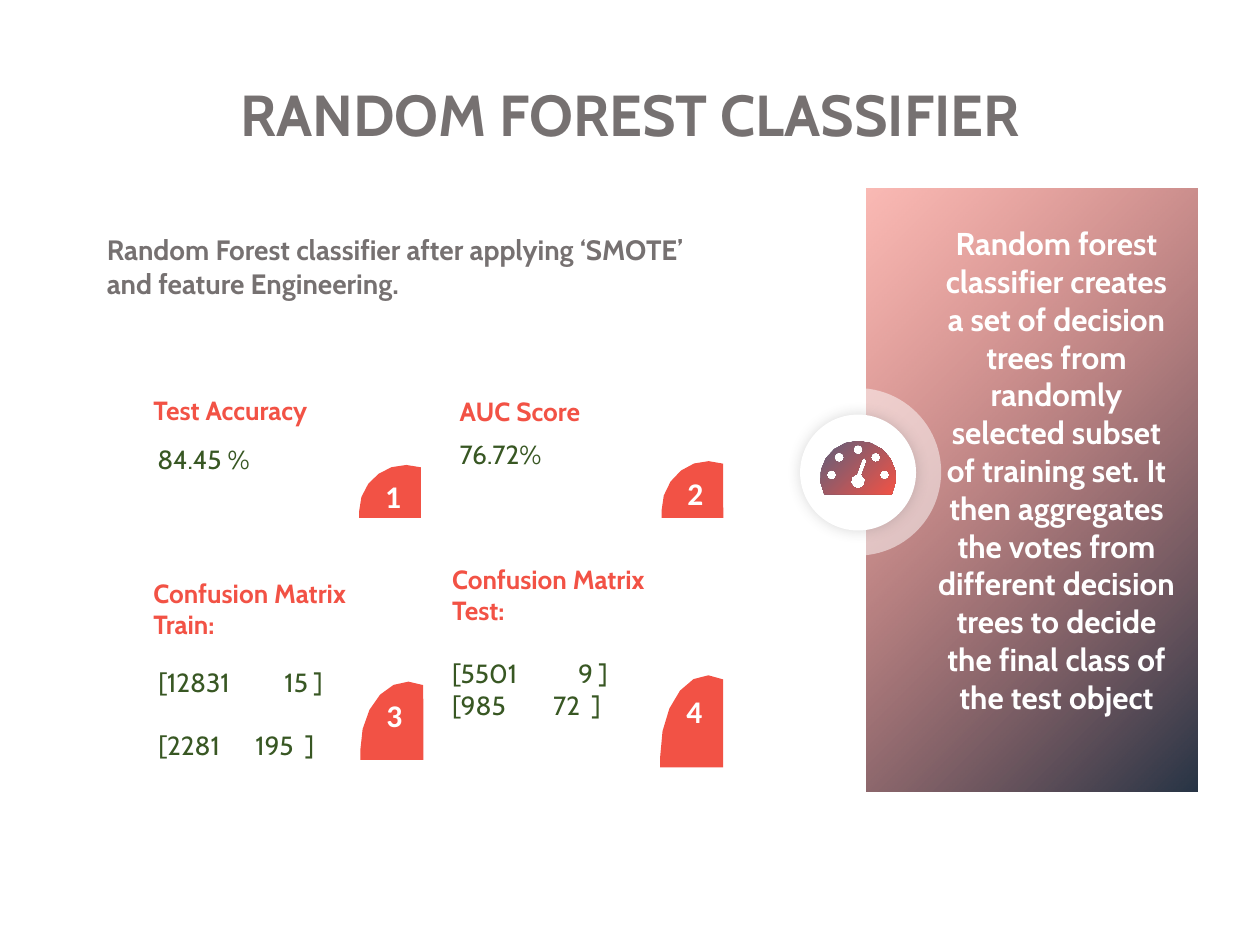
from dataclasses import dataclass
from math import cos, radians, sin

from lxml import etree
from pptx import Presentation, util as u
from pptx.dml.color import RGBColor
from pptx.enum import shapes, text
from pptx.oxml.ns import qn

RED = RGBColor(0xF2, 0x52, 0x45)
NAVY = RGBColor(0x27, 0x34, 0x45)
PLUM = RGBColor(0x69, 0x5E, 0x78)
GREEN = RGBColor(0x38, 0x57, 0x23)
GREY = RGBColor(0x76, 0x71, 0x71)
WHITE = RGBColor(0xFF, 0xFF, 0xFF)
RECT = shapes.MSO_SHAPE.RECTANGLE
OVAL = shapes.MSO_SHAPE.OVAL
CENTER = text.PP_ALIGN.CENTER

Point = tuple[float, float]
Box = tuple[float, float, float, float]


@dataclass
class Line:
    words: str
    color: RGBColor
    bold: bool = False
    gap: float = 0  # points above the line
    size: float = 15
    font: str = "Cabin"


@dataclass
class Note:
    box: Box
    lines: list[Line]


@dataclass
class Card:
    mark: str
    box: Box
    badge: Box
    notes: list[Note]


def head(words: str) -> Line:
    return Line(words, RED, True)


def value(words: str, gap: float = 0) -> Line:
    return Line(words, GREEN, gap=gap)


CARDS = [
    Card("3", (1.11, 4.62, 2.25, 1.41), (2.86, 5.41, 0.5, 0.62), [
        Note((1.16, 5.24, 2.16, 0.86),
             [value("[12831\t15 ]"), value("[2281      195  ]", 18)]),
        Note((1.12, 4.53, 2.16, 0.61), [head("Confusion Matrix Train:")])]),
    Card("1", (1.09, 3.15, 2.25, 0.96), (2.85, 3.69, 0.49, 0.42), [
        Note((1.15, 3.47, 2.16, 0.35), [value("84.45 %")]),
        Note((1.12, 3.08, 2.16, 0.35), [head("Test Accuracy")])]),
    Card("4", (3.46, 4.44, 2.29, 1.65), (5.24, 5.36, 0.5, 0.73), [
        Note((3.49, 4.42, 2.19, 2.5),
             [head("Confusion Matrix"), head("Test:"),
              value("[5501\t9 ]", 18), value("[985        72  ]")])]),
    Card("2", (3.49, 3.08, 2.25, 1.03), (5.25, 3.66, 0.49, 0.45), [
        Note((3.55, 3.43, 2.16, 0.35), [value("76.72%")]),
        Note((3.55, 3.09, 2.16, 0.35), [head("AUC Score")])]),
]


def paint(shape, color: RGBColor) -> None:
    shape.shadow.inherit = False
    shape.line.fill.background()
    shape.fill.solid()
    shape.fill.fore_color.rgb = color


def blend(shape, first: RGBColor, last: RGBColor, start: float = 0) -> None:
    """Fill from the top left corner to the bottom right one."""
    shape.fill.gradient()
    shape.fill.gradient_angle = 315
    for stop, color, place in zip(shape.fill.gradient_stops, (first, last), (start, 1)):
        stop.color.rgb = color
        stop.position = place


def fade(shape, share: int) -> None:
    """Set the opacity, in percent, of the first fill colour."""
    color = next(shape._element.spPr.iter(qn("a:srgbClr")))
    etree.SubElement(color, qn("a:alpha"), val=str(share * 1000))


def glow(shape) -> None:
    effects = shape._element.spPr.find(qn("a:effectLst"))
    blur = etree.SubElement(effects, qn("a:outerShdw"), blurRad=str(u.Pt(8)), dist="0", dir="0")
    color = etree.SubElement(blur, qn("a:srgbClr"), val="404040")
    etree.SubElement(color, qn("a:alpha"), val="20000")


def block(parent, kind, box: Box, color: RGBColor):
    shape = parent.add_shape(kind, *map(u.Inches, box))
    paint(shape, color)
    return shape


def write(parent, box: Box, lines: list[Line], align=None) -> None:
    frame = parent.add_textbox(*map(u.Inches, box)).text_frame
    frame.word_wrap = True
    for i, line in enumerate(lines):
        para = frame.add_paragraph() if i else frame.paragraphs[0]
        para.alignment = align
        para.space_before = u.Pt(line.gap)
        run = para.add_run()
        run.text = line.words
        run.font.name = line.font
        run.font.size = u.Pt(line.size)
        run.font.bold = line.bold
        run.font.color.rgb = line.color


def arc(x: float, y: float, rx: float, ry: float,
        start: float, end: float, steps: int) -> list[Point]:
    """Points round an ellipse, clockwise from the right, in degrees."""
    turns = [radians(start + (end - start) * i / steps) for i in range(steps + 1)]
    return [(x + rx * cos(t), y + ry * sin(t)) for t in turns]


def trace(parent, loops: list[list[Point]], color: RGBColor):
    loops = [[(u.Inches(x), u.Inches(y)) for x, y in loop] for loop in loops]
    pen = parent.build_freeform(*loops[0][0])
    for i, loop in enumerate(loops):
        if i:
            pen.move_to(*loop[0])
        pen.add_line_segments(loop[1:], close=True)
    shape = pen.convert_to_shape()
    paint(shape, color)
    return shape


def draw_card(parent, card: Card) -> None:
    group = parent.add_group_shape().shapes
    block(group, RECT, card.box, WHITE)
    x, y, w, h = card.badge
    rx, ry = 0.76 * w, 0.88 * h
    curve = arc(x + rx, y + ry, rx, ry, 180, 288.4, 6)
    trace(group, [curve + [(x + w, y + h), (x, y + h)]], RED)
    mark = Line(card.mark, WHITE, True, size=18, font="Calibri")
    write(group, (x + 0.1, y + 0.11 * h, 0.34, 0.4), [mark], CENTER)
    for note in card.notes:
        write(group, note.box, note.lines)


def draw_gauge(parent) -> None:
    dome = arc(6.81, 3.79, 0.3, 0.29, 153, 387, 12)
    dots = [(6.6, 3.77), (6.66, 3.63), (6.81, 3.57), (6.95, 3.63), (7.02, 3.77)]
    holes = [arc(x, y, 0.04, 0.04, 0, 315, 7) for x, y in dots]
    needle = arc(6.81, 3.82, 0.06, 0.06, -60, 260, 7)
    needle += [(6.84, 3.65), (6.86, 3.63), (6.88, 3.66)]
    blend(trace(parent, [dome, *holes, needle], RED), PLUM, RED, 0.07)


def main() -> None:
    deck = Presentation()
    deck.slide_width, deck.slide_height = u.Inches(10), u.Inches(7.5)
    tree = deck.slides.add_slide(deck.slide_layouts[6]).shapes

    # Side panel
    panel = block(tree, RECT, (6.88, 1.5, 2.62, 4.78), WHITE)
    blend(panel, RED, NAVY)
    fade(panel, 40)

    # Score cards
    for card in CARDS:
        draw_card(tree, card)

    # Title and lead
    write(tree, (0, 0.58, 10, 0.66),
          [Line("RANDOM FOREST CLASSIFIER", GREY, True, size=33)], CENTER)
    write(tree, (0.75, 1.8, 4.96, 0.64),
          [Line("Random Forest classifier after applying ‘SMOTE’ and feature Engineering.",
                GREY, True, size=16)])

    # Gauge on its discs
    fade(block(tree, OVAL, (6.14, 3.08, 1.33, 1.33), WHITE), 50)
    glow(block(tree, OVAL, (6.35, 3.29, 0.92, 0.92), WHITE))
    draw_gauge(tree)

    # Panel text
    write(tree, (7.32, 1.73, 2.13, 4.04),
          [Line("Random forest classifier creates a set of decision trees from randomly "
                "selected subset of training set. It then aggregates the votes from different "
                "decision trees to decide the final class of the test object",
                WHITE, True, size=18)], CENTER)

    deck.save("out.pptx")


if __name__ == "__main__":
    main()
